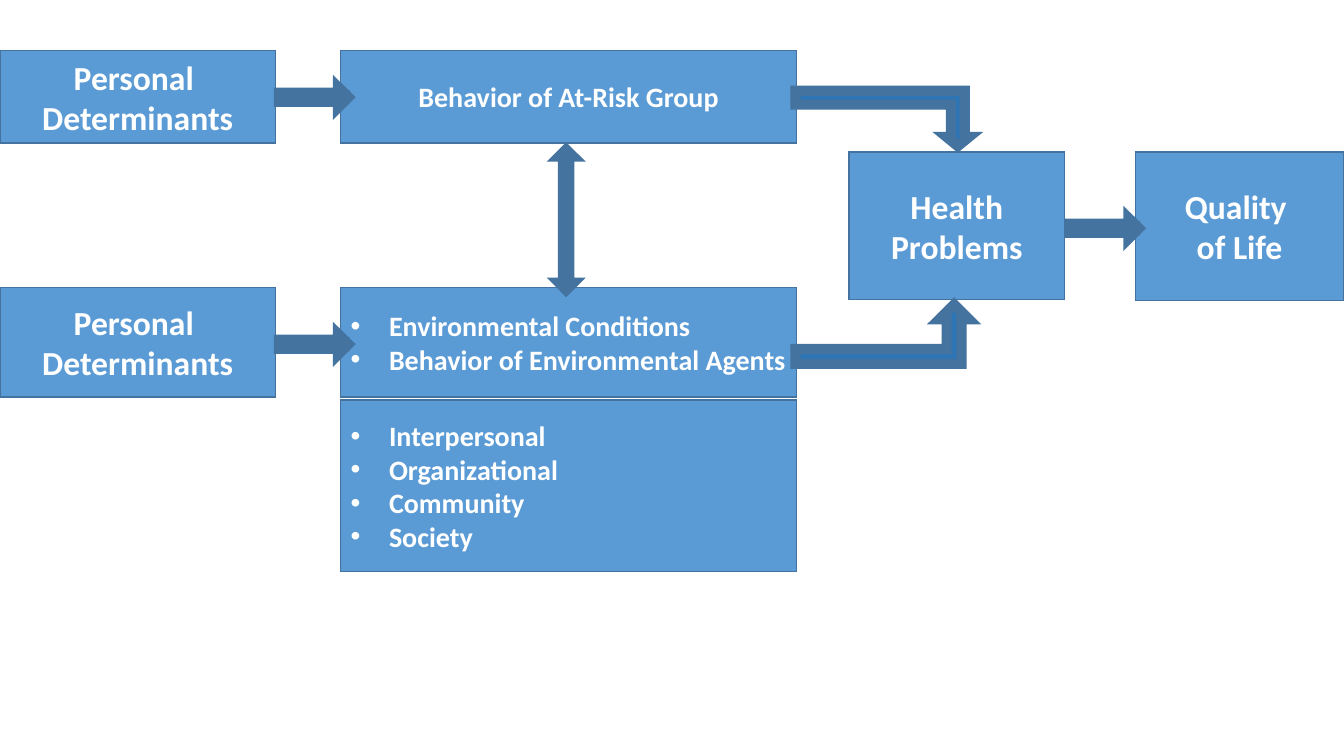
from lxml.etree import SubElement
from pptx import Presentation
from pptx.dml.color import RGBColor
from pptx.enum.shapes import MSO_SHAPE
from pptx.enum.text import MSO_ANCHOR, PP_ALIGN
from pptx.oxml.ns import qn
from pptx.util import Emu, Pt

EMU_PER_PX = 9144  # 100 px to the inch
COLORS = {"box": "5B9BD5", "outline": "43739E", "bend": "2E75B6", "text": "FFFFFF"}


def px(length):
    return Emu(length * EMU_PER_PX)


def rgb(name):
    return RGBColor.from_string(COLORS[name])


class Diagram:
    font_name = "Calibri"
    bullet_indent = 38

    def __init__(self, slide):
        self.slide = slide

    def outlined(self, preset, place, fill, line_width):
        """Add a flat preset shape with a sharp-cornered outline."""
        shape = self.slide.shapes.add_shape(preset, *map(px, place))
        shape.shadow.inherit = False
        shape.fill.solid()
        shape.fill.fore_color.rgb = rgb(fill)
        shape.line.color.rgb = rgb("outline")
        shape.line.width = Pt(line_width)
        outline = shape.line._get_or_add_ln()
        SubElement(outline, qn("a:miter"), lim="800000")
        return shape

    def box(self, place, lines, size, bulleted=False):
        shape = self.outlined(MSO_SHAPE.FLOWCHART_PROCESS, place, "box", 1)
        frame = shape.text_frame
        frame.word_wrap = True
        frame.vertical_anchor = MSO_ANCHOR.MIDDLE
        for index, line in enumerate(lines):
            paragraph = frame.add_paragraph() if index else frame.paragraphs[0]
            paragraph.alignment = PP_ALIGN.LEFT if bulleted else PP_ALIGN.CENTER
            if bulleted:
                self.bullet(paragraph)
            run = paragraph.add_run()
            run.text = line
            run.font.name = self.font_name
            run.font.size = Pt(size)
            run.font.bold = True
            run.font.color.rgb = rgb("text")

    def bullet(self, paragraph):
        properties = paragraph._p.get_or_add_pPr()
        indent = px(self.bullet_indent)
        properties.set("marL", str(indent))
        properties.set("indent", str(-indent))
        SubElement(properties, qn("a:buFont"), typeface="Arial")
        SubElement(properties, qn("a:buChar"), char="•")

    def arrow(self, preset, place, line_width):
        self.outlined(preset, place, "box", line_width)

    def bent_arrow(self, place, adjustments=(), downward=False):
        arrow = self.outlined(MSO_SHAPE.BENT_UP_ARROW, place, "bend", 7.25)
        for index, value in enumerate(adjustments):
            arrow.adjustments[index] = value
        if downward:
            arrow.rotation = 180
            arrow._element.spPr.find(qn("a:xfrm")).set("flipH", "1")


def main():
    presentation = Presentation()
    presentation.slide_width, presentation.slide_height = px(1333), px(750)
    blank_layout = presentation.slide_layouts[6]
    diagram = Diagram(presentation.slides.add_slide(blank_layout))

    determinants = ["Personal ", "Determinants"]
    for top, height in ((50, 92), (285, 109)):
        diagram.box((0, top, 273, height), determinants, 24)

    behavior_column = (
        (50, 92, ["Behavior of At-Risk Group"], False),
        (285, 109, ["Environmental Conditions", "Behavior of Environmental Agents"], True),
        (397, 170, ["Interpersonal", "Organizational", "Community", "Society"], True),
    )
    for top, height, lines, bulleted in behavior_column:
        diagram.box((338, top, 452, height), lines, 20, bulleted)

    diagram.box((842, 151, 214, 146), ["Health Problems"], 24)
    diagram.box((1126, 151, 207, 147), ["Quality ", "of Life"], 24)

    for left, top in ((1064, 224), (280, 94), (280, 339)):
        diagram.arrow(MSO_SHAPE.RIGHT_ARROW, (left, top, 61, 5), 12)
    diagram.arrow(MSO_SHAPE.UP_DOWN_ARROW, (559, 151, 5, 134), 10)
    diagram.bent_arrow((789, 302, 172, 59))
    diagram.bent_arrow((789, 90, 172, 55), (0.25, 0.201, 0.165), downward=True)

    presentation.save("out.pptx")


if __name__ == "__main__":
    main()
